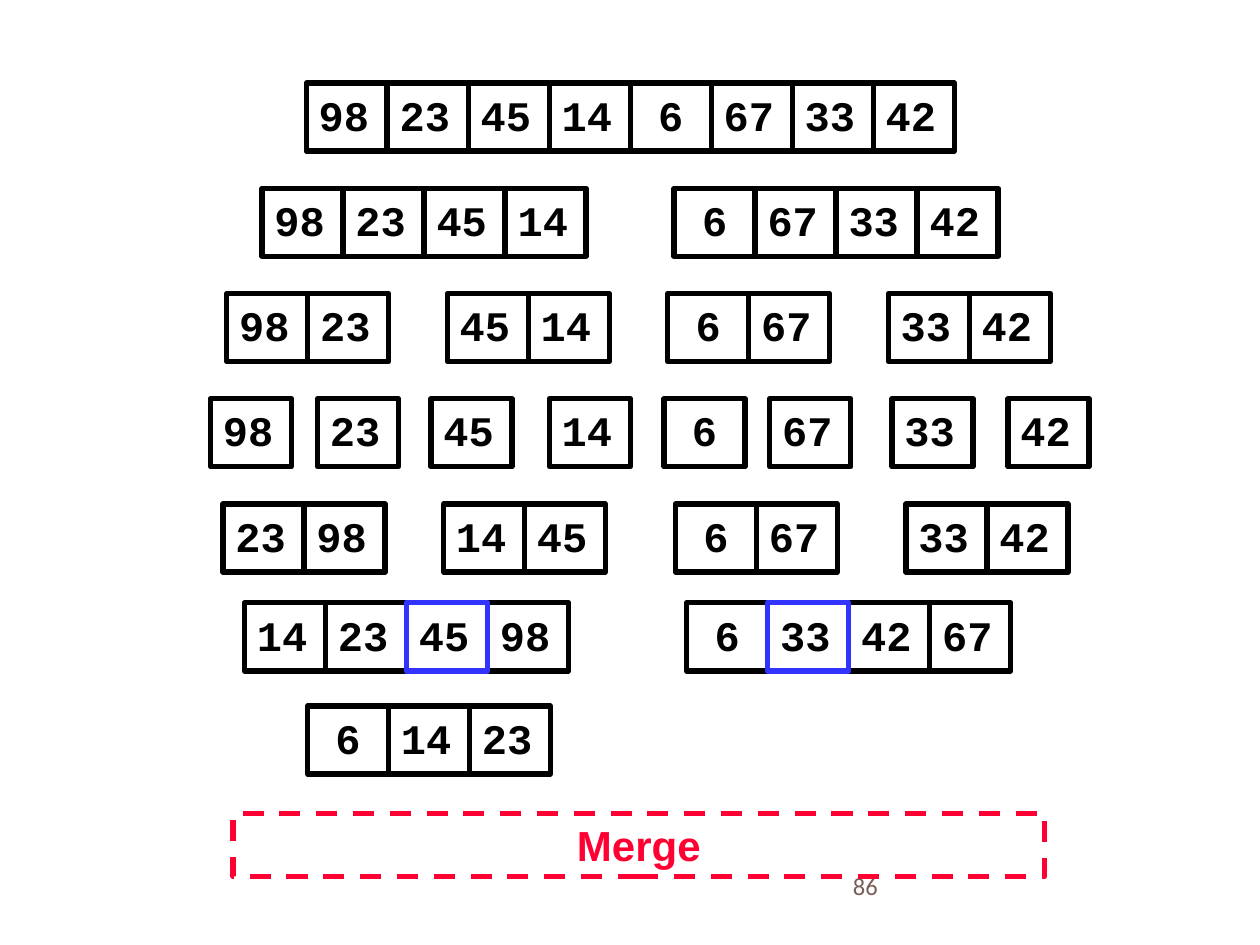
from dataclasses import dataclass

from pptx import Presentation
from pptx.dml.color import RGBColor as RGB
from pptx.enum.dml import MSO_LINE
from pptx.enum.shapes import MSO_SHAPE as SHAPE
from pptx.enum.text import MSO_ANCHOR as ANCHOR, PP_ALIGN as ALIGN
from pptx.util import Inches, Pt


@dataclass(frozen=True)
class Theme:
    ink: RGB = RGB(0x00, 0x00, 0x00)
    active: RGB = RGB(0x33, 0x33, 0xFF)
    merge: RGB = RGB(0xFF, 0x00, 0x33)
    number: RGB = RGB(0x77, 0x5F, 0x55)
    cell_font: str = "Courier New"
    label_font: str = "Arial"
    number_font: str = "Calibri"
    text_size: int = 24
    number_size: int = 14
    line_width: int = 3


THEME = Theme()
WIDTH, HEIGHT = Inches(10), Inches(7.5)

# Grid: cells in a run touch, levels are evenly spaced
CELL_W, CELL_H = Inches(0.643), Inches(0.54)
TOP, ROW_H = Inches(0.66), Inches(0.835)

# Each level: its grid row, then runs as (left in % of slide width, values)
LEVELS = [
    (0, [(24.3, [98, 23, 45, 14, 6, 67, 33, 42])]),
    (1, [(20.8, [98, 23, 45, 14]), (53.5, [6, 67, 33, 42])]),
    (2, [(18, [98, 23]), (35.5, [45, 14]), (53, [6, 67]), (70.5, [33, 42])]),
    (3, [(16.7, [98]), (25.2, [23]), (34.2, [45]), (43.6, [14]),
         (52.7, [6]), (61.1, [67]), (70.8, [33]), (80, [42])]),
    (4, [(17.7, [23, 98]), (35.2, [14, 45]), (53.6, [6, 67]), (71.9, [33, 42])]),
    (4.94, [(19.4, [14, 23, 45, 98]), (54.5, [6, 33, 42, 67])]),
    (5.92, [(24.4, [6, 14, 23])]),
]
# Next values to compare, as (grid row, value)
ACTIVE = {(4.94, 45), (4.94, 33)}


def share_x(percent):
    return round(WIDTH * percent / 100)


def share_y(percent):
    return round(HEIGHT * percent / 100)


def write(s, text, font, size, color, bold=True, align=ALIGN.LEFT):
    p = s.text_frame.paragraphs[0]
    p.text = text
    p.alignment = align
    p.font.name, p.font.size, p.font.bold = font, Pt(size), bold
    p.font.color.rgb = color


def add_box(slide, box, color):
    s = slide.shapes.add_shape(SHAPE.RECTANGLE, *box)
    s.shadow.inherit = False
    s.fill.background()
    s.line.color.rgb = color
    s.line.width = Pt(THEME.line_width)
    s.text_frame.vertical_anchor = ANCHOR.TOP
    return s


def add_cell(slide, left, top, value, color):
    s = add_box(slide, (left, top, CELL_W, CELL_H), color)
    s.text_frame.word_wrap = False
    align = ALIGN.CENTER if value < 10 else ALIGN.LEFT
    write(s, str(value), THEME.cell_font, THEME.text_size, THEME.ink, align=align)


def add_levels(slide):
    cells = [
        (share_x(left) + i * CELL_W, TOP + round(row * ROW_H), value,
         THEME.active if (row, value) in ACTIVE else THEME.ink)
        for row, runs in LEVELS
        for left, values in runs
        for i, value in enumerate(values)
    ]
    # Active cells go last so their outline lies on top
    for cell in sorted(cells, key=lambda c: c[3] == THEME.active):
        add_cell(slide, *cell)


def add_merge_label(slide):
    box = share_x(18.5), share_y(86.1), share_x(64.4), share_y(6.7)
    s = add_box(slide, box, THEME.merge)
    s.line.dash_style = MSO_LINE.DASH
    s.text_frame.word_wrap = True
    write(s, "Merge", THEME.label_font, THEME.text_size, THEME.merge,
          align=ALIGN.CENTER)


def add_slide_number(slide, number):
    s = slide.shapes.add_textbox(
        share_x(66.7), share_y(91.1), share_x(29.2), share_y(5.3))
    s.text_frame.word_wrap = True
    s.text_frame.vertical_anchor = ANCHOR.MIDDLE
    write(s, number, THEME.number_font, THEME.number_size, THEME.number, bold=False)


def main():
    prs = Presentation()
    prs.slide_width, prs.slide_height = WIDTH, HEIGHT
    slide = prs.slides.add_slide(prs.slide_layouts[6])
    add_slide_number(slide, "86")
    add_merge_label(slide)
    add_levels(slide)
    prs.save("out.pptx")


if __name__ == "__main__":
    main()
